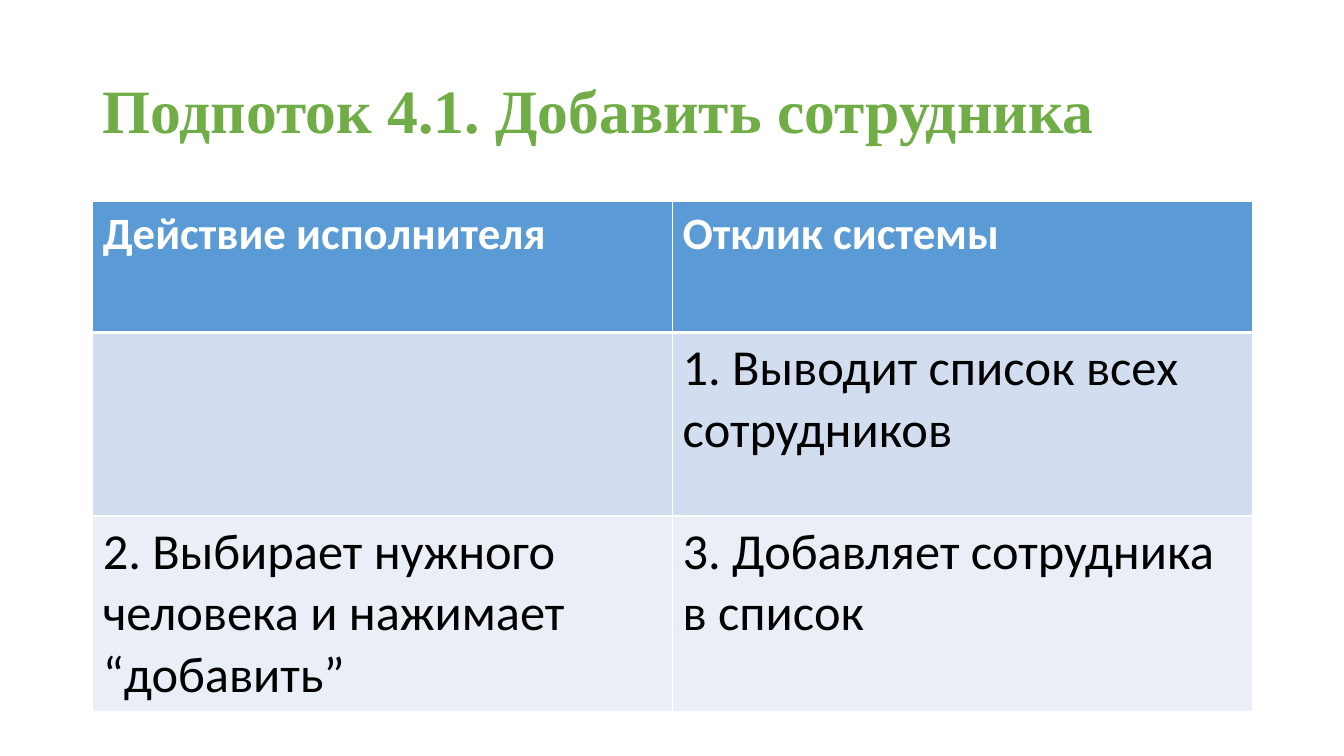
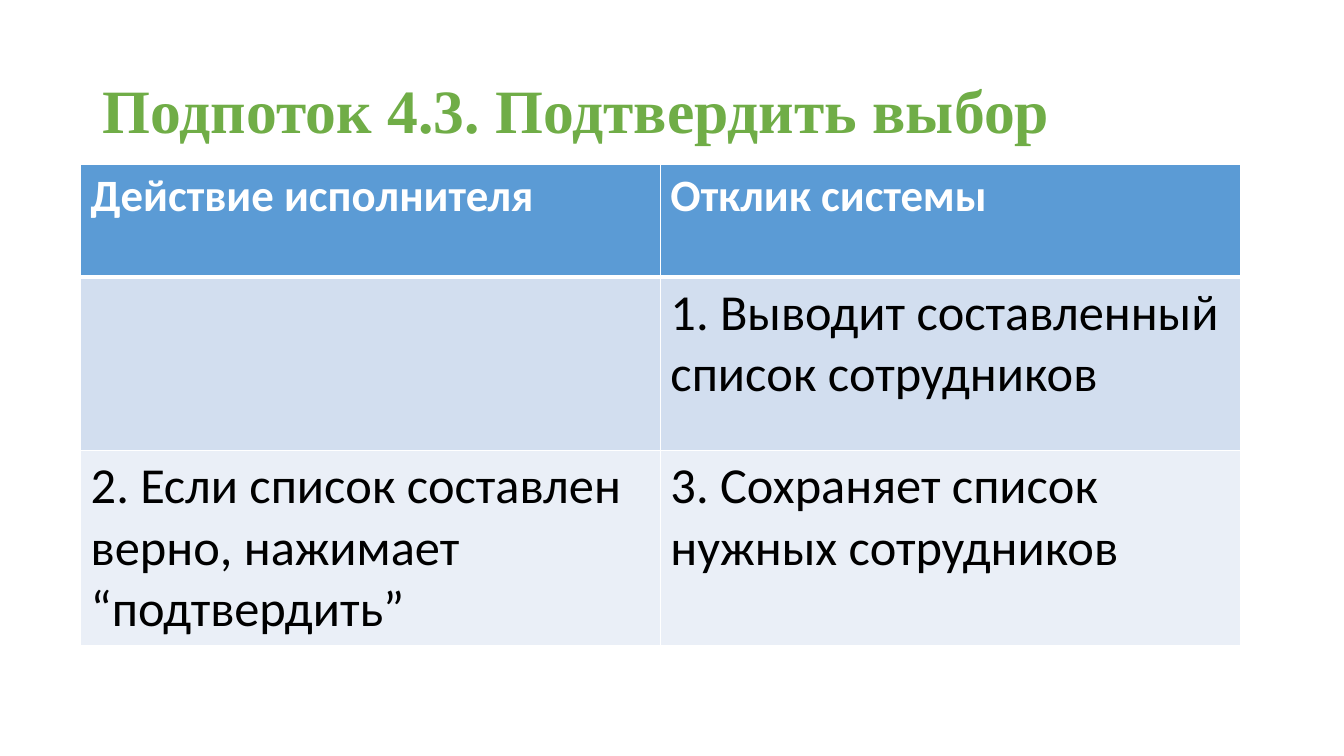
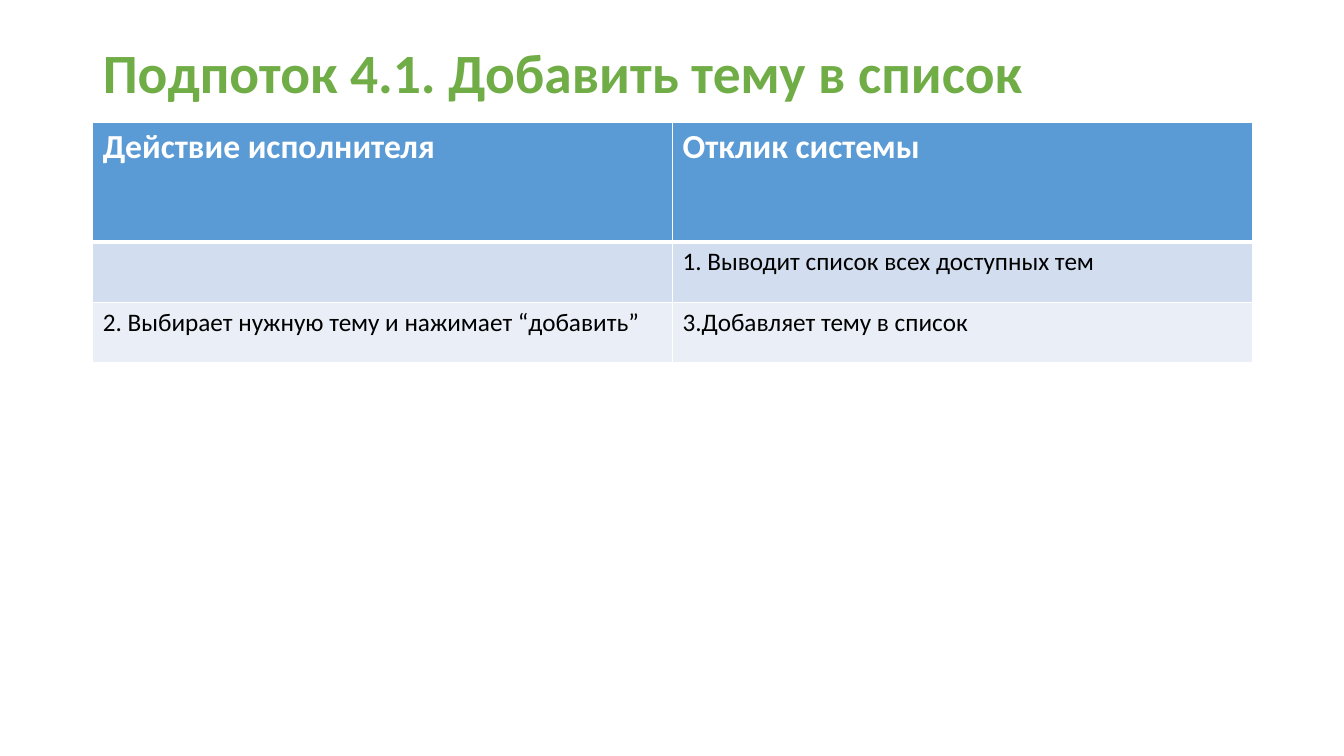
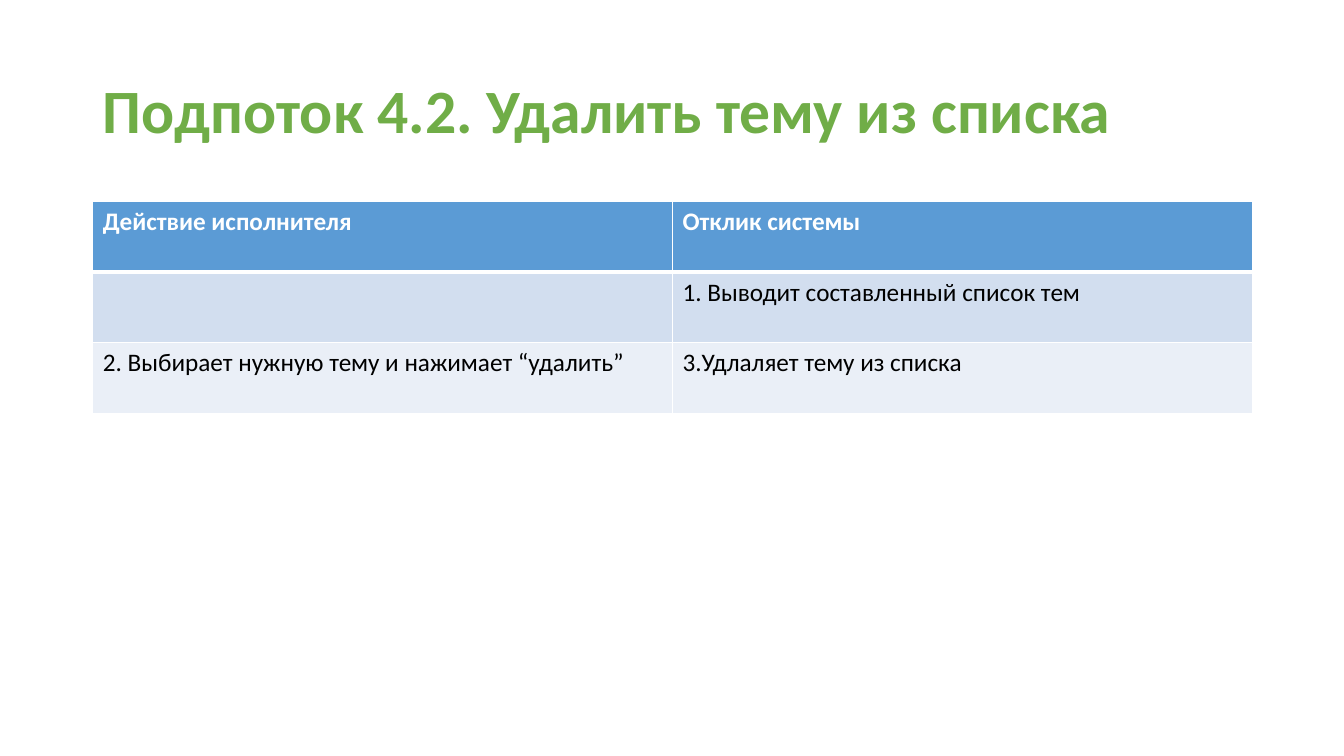
import dataclasses

import lxml.etree
import pptx
import pptx.dml.color
import pptx.enum.text
import pptx.oxml.ns
import pptx.util

Inches = pptx.util.Inches
Pt = pptx.util.Pt


@dataclasses.dataclass(frozen=True)
class Theme:
    title_color: str = "70AD47"
    header_fill: str = "5B9BD5"
    header_text: str = "FFFFFF"
    body_text: str = "000000"
    band_fills: tuple = ("D2DEEF", "EAEFF7")
    border_color: str = "FFFFFF"
    border_width: float = 1
    header_rule_width: float = 3
    sans: str = "Calibri"
    serif: str = "Times New Roman"
    title_size: float = 44
    compact_title_size: float = 39.6
    large_header_size: float = 32
    large_body_size: float = 36
    medium_header_size: float = 24
    small_size: float = 18


THEME = Theme()
LEFT = 0.92
CONTENT_WIDTH = 11.5
TABLE_TOP = 2
HEADERS = ("Действие исполнителя", "Отклик системы")


def format_paragraph(paragraph, size, color, bold, font_name):
    for run in paragraph.runs:
        run.font.size = Pt(size)
        run.font.name = font_name
        run.font.bold = bold
        run.font.color.rgb = pptx.dml.color.RGBColor.from_string(color)


def add_title_slide(presentation, text, font_name, size=THEME.title_size, height=1.45,
                    anchor=pptx.enum.text.MSO_ANCHOR.MIDDLE):
    slide = presentation.slides.add_slide(presentation.slide_layouts[5])
    title = slide.shapes.title
    title.left, title.top = Inches(LEFT), Inches(0.4)
    title.width, title.height = Inches(CONTENT_WIDTH), Inches(height)
    frame = title.text_frame
    frame.text = text
    frame.word_wrap = True
    frame.auto_size = pptx.enum.text.MSO_AUTO_SIZE.NONE
    frame.vertical_anchor = anchor
    paragraph = frame.paragraphs[0]
    paragraph.alignment = pptx.enum.text.PP_ALIGN.LEFT
    paragraph.line_spacing = 0.9
    format_paragraph(paragraph, size, THEME.title_color, True, font_name)
    return slide


def set_border(cell, side, width):
    properties = cell._tc.get_or_add_tcPr()
    line = lxml.etree.SubElement(properties, pptx.oxml.ns.qn(f"a:ln{side}"), w=str(Pt(width)))
    fill = lxml.etree.SubElement(line, pptx.oxml.ns.qn("a:solidFill"))
    lxml.etree.SubElement(fill, pptx.oxml.ns.qn("a:srgbClr"), val=THEME.border_color)


def format_cell(cell, text, row_index, header_size, body_size):
    is_header = row_index == 0
    for side in ("L", "R"):
        set_border(cell, side, THEME.border_width)
    if row_index < 2:
        set_border(cell, "T", THEME.border_width if is_header else THEME.header_rule_width)
    set_border(cell, "B", THEME.header_rule_width if is_header else THEME.border_width)
    cell.fill.solid()
    fill = THEME.header_fill if is_header else THEME.band_fills[(row_index - 1) % 2]
    cell.fill.fore_color.rgb = pptx.dml.color.RGBColor.from_string(fill)
    cell.text_frame.text = text
    format_paragraph(
        cell.text_frame.paragraphs[0],
        header_size if is_header else body_size,
        THEME.header_text if is_header else THEME.body_text,
        is_header,
        THEME.sans,
    )


def add_flow_table(slide, steps, row_heights, header_size, body_size, left=LEFT, top=TABLE_TOP):
    rows = (HEADERS, *steps)
    table = slide.shapes.add_table(
        len(rows), len(HEADERS), Inches(left), Inches(top),
        Inches(CONTENT_WIDTH), Inches(sum(row_heights)),
    ).table
    table.horz_banding = False
    for column in table.columns:
        column.width = Inches(CONTENT_WIDTH / len(HEADERS))
    for row_index, (texts, height) in enumerate(zip(rows, row_heights)):
        table.rows[row_index].height = Inches(height)
        for column_index, text in enumerate(texts):
            format_cell(table.cell(row_index, column_index), text, row_index, header_size, body_size)


def main():
    presentation = pptx.Presentation()
    presentation.slide_width = Inches(13.33)
    presentation.slide_height = Inches(7.5)

    slide = add_title_slide(presentation, "Подпоток 4.1. Добавить сотрудника", THEME.serif)
    add_flow_table(slide, (
        ("", "1. Выводит список всех сотрудников"),
        ("2. Выбирает нужного человека и нажимает “добавить”", "3. Добавляет сотрудника в список"),
    ), (1.3, 1.82, 1.9), THEME.large_header_size, THEME.large_body_size)

    slide = add_title_slide(presentation, "Подпоток 4.3. Подтвердить выбор", THEME.serif)
    add_flow_table(slide, (
        ("", "1. Выводит составленный список сотрудников"),
        ("2. Если список соcтавлен верно, нажимает “подтвердить”",
         "3. Сохраняет список нужных сотрудников"),
    ), (1.12, 1.72, 1.9), THEME.large_header_size, THEME.large_body_size, left=0.8, top=1.63)

    slide = add_title_slide(presentation, "Подпоток 4.1. Добавить тему в список", THEME.sans,
                            size=THEME.compact_title_size, height=1.35,
                            anchor=pptx.enum.text.MSO_ANCHOR.TOP)
    add_flow_table(slide, (
        ("", "1. Выводит список всех доступных тем"),
        ("2. Выбирает нужную тему и нажимает “добавить”", "3.Добавляет тему в список"),
    ), (1.19, 0.6, 0.6), THEME.medium_header_size, THEME.small_size, top=1.21)

    slide = add_title_slide(presentation, "Подпоток 4.2. Удалить тему из списка", THEME.sans)
    add_flow_table(slide, (
        ("", "1. Выводит составленный список тем"),
        ("2. Выбирает нужную тему и нажимает “удалить”", "3.Удлаляет тему из списка"),
    ), (0.7, 0.7, 0.7), THEME.small_size, THEME.small_size)

    presentation.save("out.pptx")


if __name__ == "__main__":
    main()
